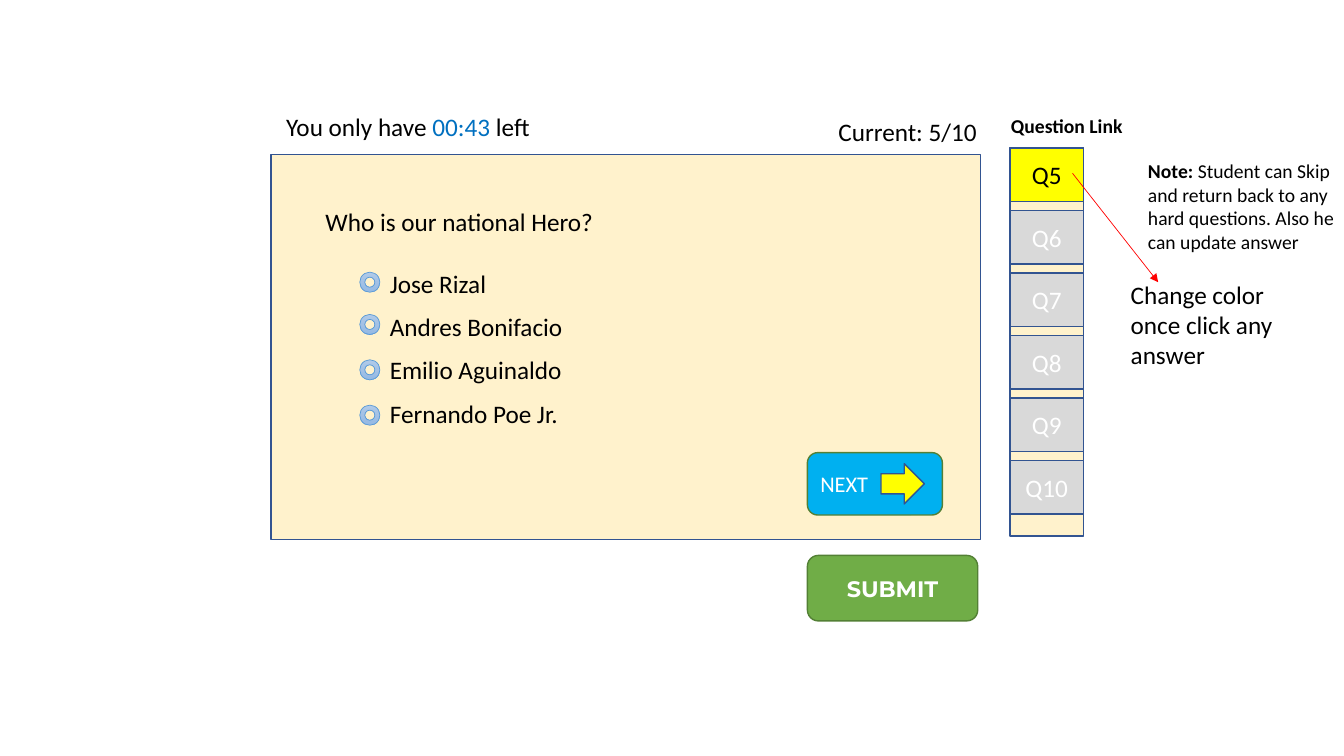
from copy import deepcopy

from pptx import Presentation
from pptx import util as u
from pptx.dml import color
from pptx.enum import shapes, text
from pptx.oxml import ns, xmlchemy

RGB = color.RGBColor
BLACK = RGB(0, 0, 0)
WHITE = RGB(255, 255, 255)
CREAM = RGB(0xFF, 0xF2, 0xCC)
YELLOW = RGB(0xFF, 0xFF, 0)
GREY = RGB(0xD9, 0xD9, 0xD9)
NAVY = RGB(0x32, 0x54, 0x91)
GREEN = RGB(0x70, 0xAD, 0x47)
DARK_GREEN = RGB(0x53, 0x80, 0x35)
SKY = RGB(0, 0xB0, 0xF0)
TIMER_BLUE = RGB(0, 0x70, 0xC0)
RED = RGB(0xFF, 0, 0)
RADIO_LINE = RGB(0x5B, 0x9B, 0xD5)
RADIO_STOPS = [RGB(0xB1, 0xCB, 0xE9), RGB(0xA3, 0xC1, 0xE5), RGB(0x93, 0xB9, 0xE4)]

SHAPE = shapes.MSO_SHAPE
ALIGN = text.PP_ALIGN


class QuizSlide:
    """Hold the quiz style and draw each kind of element on the slide."""

    font = "Calibri"

    def __init__(self, s):
        self.s = s

    def style(self, r, size, rgb, bold=False, font=None):
        r.font.name = font or self.font
        r.font.size = u.Pt(size)
        r.font.bold = bold
        r.font.color.rgb = rgb

    def shape(self, kind, box, fill=None, line=NAVY, width=1):
        sp = self.s.shapes.add_shape(kind, *map(u.Pt, box))
        sp.shadow.inherit = False
        if fill is not None:
            sp.fill.solid()
            sp.fill.fore_color.rgb = fill
        sp.line.color.rgb = line
        sp.line.width = u.Pt(width)
        return sp

    def label(self, sp, words, size, rgb, align=ALIGN.CENTER, **look):
        tf = sp.text_frame
        tf.text = words
        tf.vertical_anchor = text.MSO_ANCHOR.MIDDLE
        p = tf.paragraphs[0]
        p.alignment = align
        self.style(p.runs[0], size, rgb, **look)

    def radio(self, left, top, side=14.4):
        sp = self.shape(SHAPE.DONUT, (left, top, side, side), line=RADIO_LINE, width=0.5)
        sp.fill.gradient()
        sp.fill.gradient_angle = 270
        stops = sp._element.spPr.find(".//" + ns.qn("a:gsLst"))
        stops.insert(1, deepcopy(stops[0]))
        for i, (stop, rgb) in enumerate(zip(sp.fill.gradient_stops, RADIO_STOPS)):
            stop.position = i / 2
            stop.color.rgb = rgb

    def text(self, box, *parts, size=18, wrap=False):
        tf = self.s.shapes.add_textbox(*map(u.Pt, box)).text_frame
        tf.word_wrap = wrap
        tf.auto_size = text.MSO_AUTO_SIZE.SHAPE_TO_FIT_TEXT
        for words, rgb, bold in parts:
            r = tf.paragraphs[0].add_run()
            r.text = words
            self.style(r, size, rgb, bold)

    def arrow(self, start, end, rgb):
        c = self.s.shapes.add_connector(
            shapes.MSO_CONNECTOR.STRAIGHT, *map(u.Pt, start + end))
        c.line.color.rgb = rgb
        c.line.width = u.Pt(0.5)
        head = xmlchemy.OxmlElement("a:tailEnd")
        head.set("type", "triangle")
        c.line._get_or_add_ln().append(head)
        c._element.spPr.append(xmlchemy.OxmlElement("a:effectLst"))


def main():
    prs = Presentation()
    prs.slide_width, prs.slide_height = u.Pt(960), u.Pt(540)
    quiz = QuizSlide(prs.slides.add_slide(prs.slide_layouts[6]))

    quiz.shape(SHAPE.RECTANGLE, (193.7, 110.2, 506.9, 275), CREAM)
    quiz.shape(SHAPE.RECTANGLE, (721.4, 105.8, 52.6, 277.2), CREAM)
    for i in range(6):
        current = i == 0
        sp = quiz.shape(SHAPE.RECTANGLE, (721.4, 105.8 + 44.64 * i, 52.6, 38.2),
                        YELLOW if current else GREY)
        quiz.label(sp, f"Q{i + 5}", 18, BLACK if current else WHITE)

    submit = quiz.shape(SHAPE.ROUNDED_RECTANGLE, (576.7, 396.7, 121.7, 46.8), GREEN, DARK_GREEN)
    quiz.label(submit, "SUBMIT", 16, WHITE, bold=True, font="Montserrat")
    following = quiz.shape(SHAPE.ROUNDED_RECTANGLE, (576.7, 323.3, 96.5, 44.6), SKY, DARK_GREEN)
    quiz.label(following, "NEXT", 16, WHITE, align=ALIGN.LEFT)
    quiz.shape(SHAPE.RIGHT_ARROW, (629.3, 331.2, 31, 28.8), YELLOW)

    quiz.text((225.4, 144, 208, 28.8), ("Who is our national Hero?", BLACK, False))
    answers = [("Jose Rizal", 84.2), ("Andres Bonifacio", 139),
               ("Emilio Aguinaldo", 139), ("Fernando Poe Jr.", 136)]
    for i, (answer, width) in enumerate(answers):
        quiz.text((271.4, 187.9 + 30.96 * i, width, 28.8), (answer, BLACK, False))
    for top in (194.4, 224.6, 257, 289.4):
        quiz.radio(257, top)

    quiz.text((197.3, 76.3, 190.8, 28.8), ("You only have ", BLACK, False),
              ("00:43", TIMER_BLUE, False), (" left", BLACK, False))
    quiz.text((591.8, 79.2, 114.5, 28.8), ("Current: 5/10", BLACK, False))
    quiz.arrow((766.1, 123.8), (827.3, 201.6), RED)
    quiz.text((800.6, 195.8, 139.7, 72.7),
              ("Change color once click any answer", BLACK, False), wrap=True)
    quiz.text((715, 77.8, 95, 24.5), ("Question Link", BLACK, True), size=14)
    quiz.text((812.9, 110.2, 157, 74.9), ("Note: ", BLACK, True),
              ("Student can Skip and return back to any hard questions. "
               "Also he can update answer", BLACK, False), size=14, wrap=True)

    prs.save("out.pptx")


if __name__ == "__main__":
    main()
